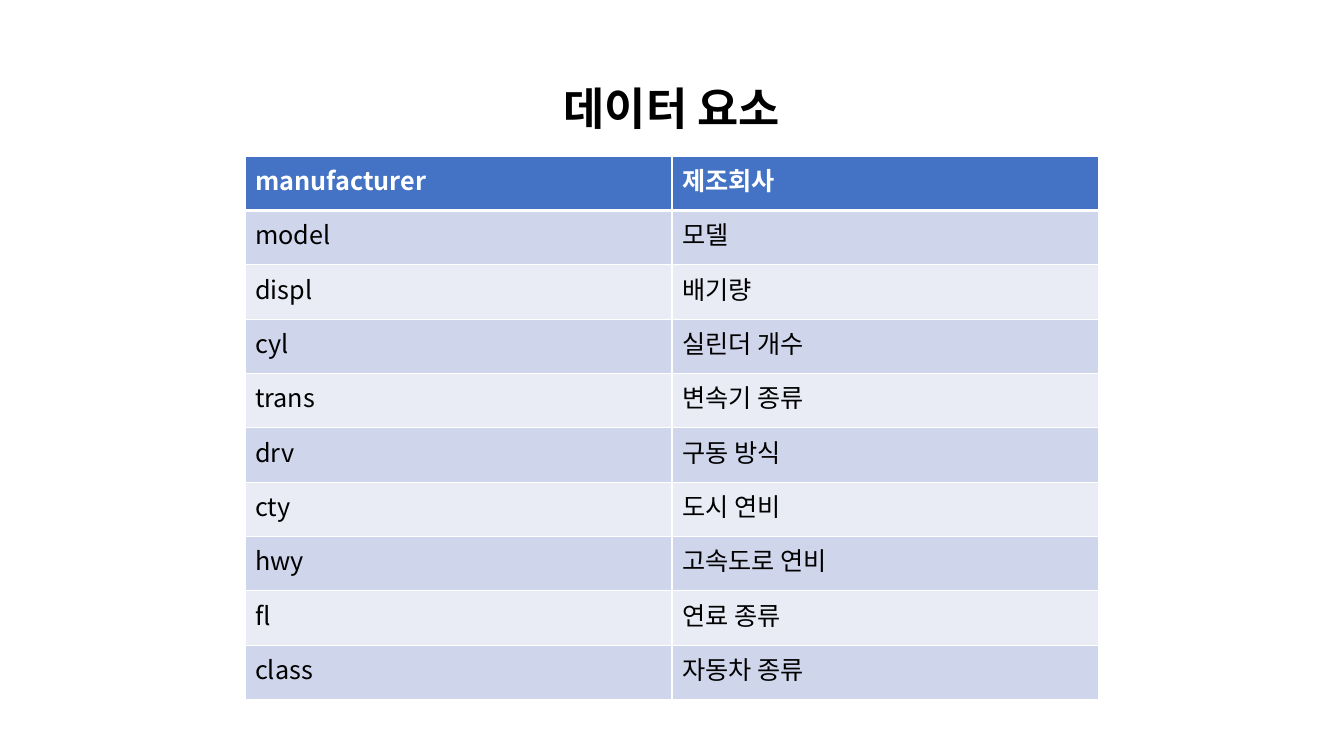
from dataclasses import dataclass

from lxml.etree import SubElement
from pptx import Presentation
from pptx.dml.color import RGBColor
from pptx.enum.text import MSO_ANCHOR, MSO_AUTO_SIZE, PP_ALIGN
from pptx.oxml.ns import qn
from pptx.slide import Slide
from pptx.table import _Cell
from pptx.text.text import TextFrame
from pptx.util import Inches, Pt

COLORS = {"white": "FFFFFF", "black": "000000", "header": "4472C4", "odd": "CFD5EA", "even": "E9EBF5"}
FONT = "Noto Sans CJK KR"
WIDTH, HEIGHT = Inches(13.33), Inches(7.5)
TABLE_LEFT, TABLE_TOP = Inches(2.43), Inches(1.55)
COLUMN_WIDTH, ROW_HEIGHT = Inches(4.235), Inches(0.539)


@dataclass(frozen=True)
class Variable:
    """A data element and its Korean meaning."""

    name: str
    meaning: str


VARIABLES = [
    Variable("manufacturer", "제조회사"),
    Variable("model", "모델"),
    Variable("displ", "배기량"),
    Variable("cyl", "실린더 개수"),
    Variable("trans", "변속기 종류"),
    Variable("drv", "구동 방식"),
    Variable("cty", "도시 연비"),
    Variable("hwy", "고속도로 연비"),
    Variable("fl", "연료 종류"),
    Variable("class", "자동차 종류"),
]


def write_text(frame: TextFrame, text: str, *, size: int, color: str, bold: bool = False,
               align: PP_ALIGN = PP_ALIGN.LEFT, spacing: float = 1.0) -> None:
    """Write one formatted paragraph into a text frame."""
    paragraph = frame.paragraphs[0]
    paragraph.alignment, paragraph.line_spacing = align, spacing
    run = paragraph.add_run()
    run.text = text
    run.font.size, run.font.bold, run.font.name = Pt(size), bold, FONT
    run.font.color.rgb = RGBColor.from_string(COLORS[color])
    SubElement(run.font._element, qn("a:ea"), typeface=FONT)


def draw_borders(cell: _Cell, top: int, bottom: int) -> None:
    """Draw white cell borders with the given top and bottom widths in points."""
    properties = cell._tc.get_or_add_tcPr()
    for side, width in {"L": 1, "R": 1, "T": top, "B": bottom}.items():
        line = SubElement(properties, qn(f"a:ln{side}"), w=str(Pt(width)))
        SubElement(SubElement(line, qn("a:solidFill")), qn("a:srgbClr"), val=COLORS["white"])


def add_title(slide: Slide, text: str) -> None:
    """Place and format the title placeholder."""
    title = slide.shapes.title
    title.width, title.height = Inches(3.65), Inches(0.64)
    title.left, title.top = (WIDTH - title.width) // 2, Inches(0.78)
    frame = title.text_frame
    frame.word_wrap, frame.auto_size = True, MSO_AUTO_SIZE.NONE
    frame.vertical_anchor = MSO_ANCHOR.MIDDLE
    write_text(frame, text, size=32, color="black", bold=True, align=PP_ALIGN.CENTER, spacing=0.9)


def add_variable_table(slide: Slide, variables: list[Variable]) -> None:
    """Add the banded table of variables, the first one as its header."""
    table = slide.shapes.add_table(len(variables), 2, TABLE_LEFT, TABLE_TOP,
                                   2 * COLUMN_WIDTH, len(variables) * ROW_HEIGHT).table
    for row, variable in enumerate(variables):
        header = row == 0
        fill = "header" if header else "odd" if row % 2 else "even"
        for column, text in enumerate((variable.name, variable.meaning)):
            cell = table.cell(row, column)
            draw_borders(cell, top=3 if row == 1 else 1, bottom=3 if header else 1)
            cell.fill.solid()
            cell.fill.fore_color.rgb = RGBColor.from_string(COLORS[fill])
            write_text(cell.text_frame, text, size=18, color="white" if header else "black", bold=header)


def main() -> None:
    """Build and save the presentation."""
    presentation = Presentation()
    presentation.slide_width, presentation.slide_height = WIDTH, HEIGHT
    slide = presentation.slides.add_slide(presentation.slide_layouts[5])
    add_title(slide, "데이터 요소")
    add_variable_table(slide, VARIABLES)
    presentation.save("out.pptx")


main()
